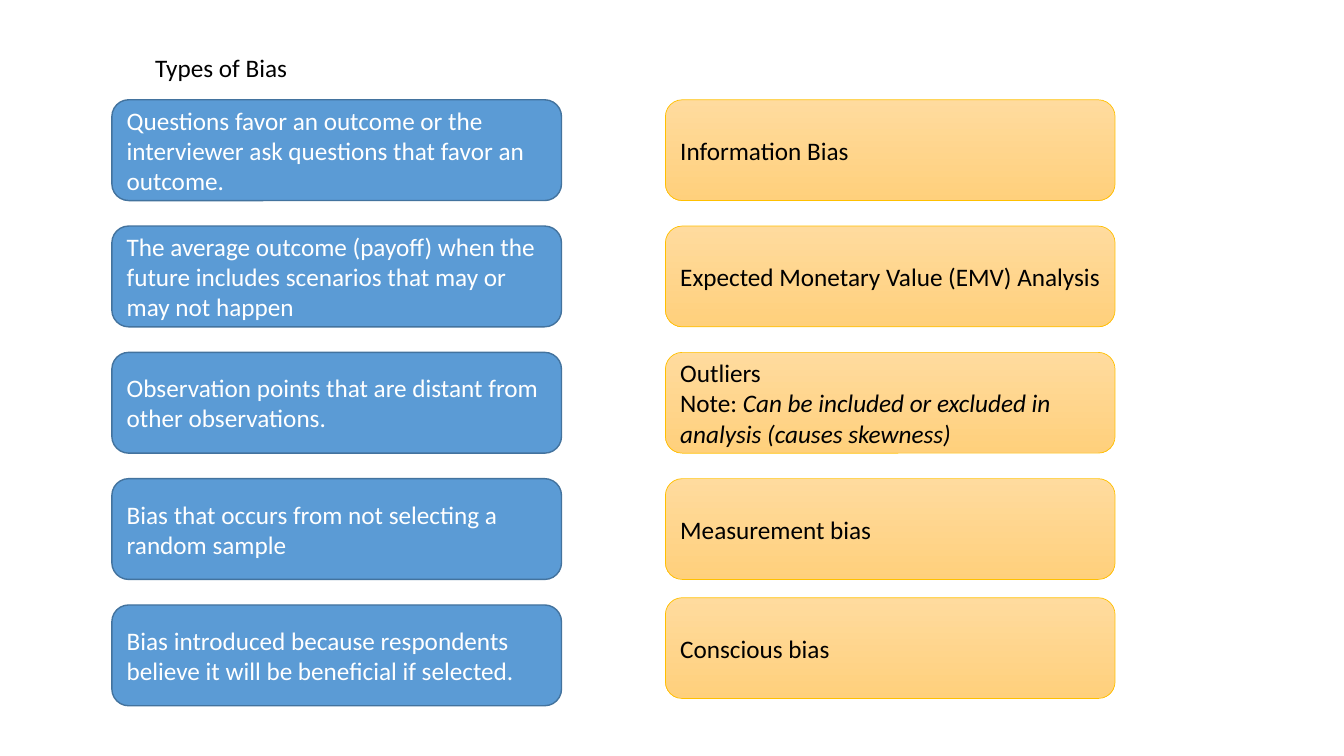
from pptx import Presentation
from pptx.dml.color import RGBColor
from pptx.enum.shapes import MSO_SHAPE as Preset
from pptx.enum.text import MSO_ANCHOR as Anchor, MSO_AUTO_SIZE as AutoSize, PP_ALIGN as Align
from pptx.util import Inches, Pt

WHITE = RGBColor(0xFF, 0xFF, 0xFF)
BLACK = RGBColor(0x00, 0x00, 0x00)
BLUE = RGBColor(0x5B, 0x9B, 0xD5)
DARK_BLUE = RGBColor(0x43, 0x73, 0x9E)
LIGHT_GOLD = RGBColor(0xFF, 0xDB, 0x9E)
DEEP_GOLD = RGBColor(0xFF, 0xD0, 0x7C)
GOLD_LINE = RGBColor(0xFF, 0xC0, 0x00)

DEFINITION_LEFT, TERM_LEFT = 1.11, 6.6
FIRST_TOP, ROW_STEP = 0.99, 1.253
LAST_TERM_TOP = 5.93
CARD_WIDTH, CARD_HEIGHT = 4.46, 1

# Each term is a list of paragraphs; a paragraph is a list of (text, italic) runs
ROWS = [
    ("Questions favor an outcome or the interviewer ask questions that favor an outcome.",
     [[("Information Bias", False)]]),
    ("The average outcome (payoff) when the future includes scenarios that may or may not happen",
     [[("Expected Monetary Value (EMV) Analysis", False)]]),
    ("Observation points that are distant from other observations.",
     [[("Outliers", False)],
      [("Note: ", False), ("Can be included or excluded in analysis (causes skewness)", True)]]),
    ("Bias that occurs from not selecting a random sample",
     [[("Measurement bias", False)]]),
    ("Bias introduced because respondents believe it will be beneficial if selected.",
     [[("Conscious bias", False)]]),
]


def write_text(frame, paragraphs, color=BLACK, size=18, font="Calibri"):
    for index, runs in enumerate(paragraphs):
        paragraph = frame.add_paragraph() if index else frame.paragraphs[0]
        paragraph.alignment = Align.LEFT
        for text, italic in runs:
            run = paragraph.add_run()
            run.text = text
            run.font.name = font
            run.font.size = Pt(size)
            run.font.color.rgb = color
            if italic:
                run.font.italic = True


def add_card(slide, left, top, paragraphs, text_color, line_color, line_width):
    shape = slide.shapes.add_shape(Preset.ROUNDED_RECTANGLE, Inches(left), Inches(top),
                                   Inches(CARD_WIDTH), Inches(CARD_HEIGHT))
    shape.shadow.inherit = False
    shape.line.color.rgb = line_color
    shape.line.width = Pt(line_width)
    shape.text_frame.word_wrap = True
    shape.text_frame.vertical_anchor = Anchor.MIDDLE
    write_text(shape.text_frame, paragraphs, color=text_color)
    return shape


def add_definition(slide, top, text):
    shape = add_card(slide, DEFINITION_LEFT, top, [[(text, False)]], WHITE, DARK_BLUE, 1)
    shape.fill.solid()
    shape.fill.fore_color.rgb = BLUE


def add_term(slide, top, paragraphs):
    shape = add_card(slide, TERM_LEFT, top, paragraphs, BLACK, GOLD_LINE, 0.5)
    shape.fill.gradient()
    shape.fill.gradient_angle = 270
    for stop, color in zip(shape.fill.gradient_stops, (LIGHT_GOLD, DEEP_GOLD)):
        stop.color.rgb = color


def add_heading(slide, text):
    box = slide.shapes.add_textbox(Inches(1.44), Inches(0.47), Inches(1.52), Inches(0.4))
    box.text_frame.word_wrap = False
    box.text_frame.auto_size = AutoSize.SHAPE_TO_FIT_TEXT
    write_text(box.text_frame, [[(text, False)]])


def main():
    presentation = Presentation()
    presentation.slide_width = Inches(13.33)
    presentation.slide_height = Inches(7.5)
    slide = presentation.slides.add_slide(presentation.slide_layouts[6])

    add_heading(slide, "Types of Bias")

    # Definitions on the left, matching terms on the right
    for index, (definition, term) in enumerate(ROWS):
        top = FIRST_TOP + index * ROW_STEP
        is_last = index == len(ROWS) - 1
        add_definition(slide, top, definition)
        add_term(slide, LAST_TERM_TOP if is_last else top, term)

    presentation.save("out.pptx")


if __name__ == "__main__":
    main()
